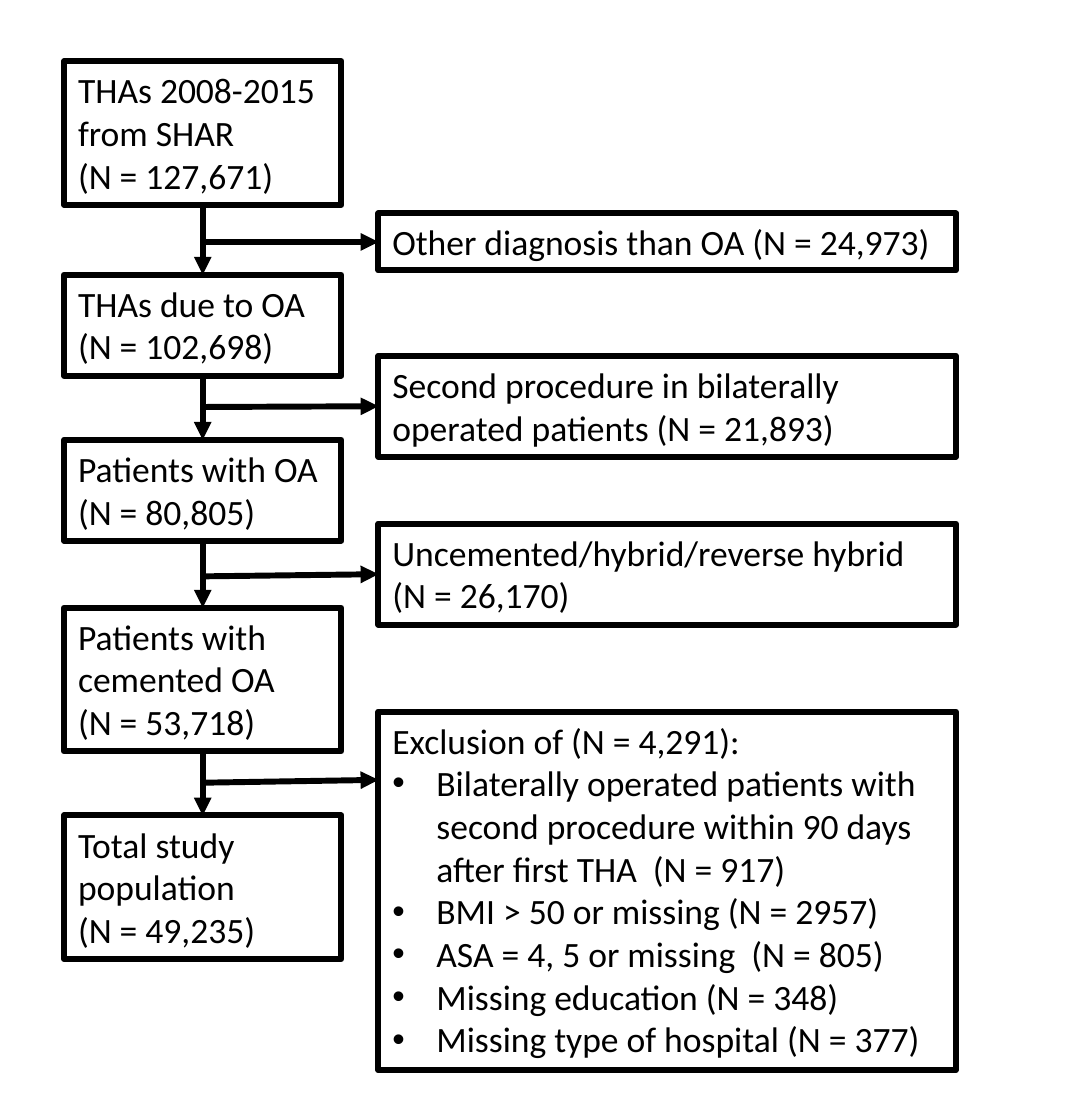
import pptx
import pptx.dml.color
import pptx.enum.shapes
import pptx.enum.text
import pptx.oxml
import pptx.oxml.ns
import pptx.util

SCALE = 9144  # EMU per px, 100 px to the inch
LEFT, WIDE = 45, 195
SIDE, SPAN = 266, 406

# top, height, paragraphs
STEPS = [
    (43, 101, ["THAs 2008-2015", "from SHAR", "(N = 127,671)"]),
    (193, 71, ["THAs due to OA (N = 102,698)"]),
    (309, 71, ["Patients with OA (N = 80,805)"]),
    (427, 101, ["Patients with cemented OA", "(N = 53,718)"]),
    (573, 101, ["Total study population", "(N = 49,235)"]),
]
# top, height, arrow start, arrow end (None: middle of the side), paragraphs, bullets
DROPS = [
    (150, 40, 170, None, ["Other diagnosis than OA (N = 24,973)"], []),
    (250, 71, 286, None,
     ["Second procedure in bilaterally operated patients (N = 21,893)"], []),
    (368, 71, 405, None,
     ["Uncemented/hybrid/reverse hybrid", "(N = 26,170)"], []),
    (500, 252, 550, 548, ["Exclusion of (N = 4,291):"], [
        "Bilaterally operated patients with second procedure "
        "within 90 days after first THA  (N = 917)",
        "BMI > 50 or missing (N = 2957)",
        "ASA = 4, 5 or missing  (N = 805)",
        "Missing education (N = 348)",
        "Missing type of hospital (N = 377)",
    ]),
]


def px(count):
    return pptx.util.Emu(round(count * SCALE))


def color(code):
    return pptx.dml.color.RGBColor.from_string(code)


def node(parent, tag, **attrs):
    item = pptx.oxml.ns.qn(tag)
    child = parent.makeelement(item, attrs)
    parent.append(child)
    return child


class Chart:
    """Flow chart style and the slide it is drawn on."""
    face, size, ink, stroke = "Calibri", 18, "000000", 3

    def __init__(self, slide):
        self.shapes = slide.shapes

    def edge(self, line):
        line.color.rgb = color(self.ink)
        line.width = pptx.util.Pt(self.stroke)

    def box(self, left, top, width, height, lines, points=()):
        shape = self.shapes.add_shape(
            pptx.enum.shapes.MSO_SHAPE.RECTANGLE,
            px(left), px(top), px(width), px(height))
        shape.shadow.inherit = False
        shape.fill.background()
        self.edge(shape.line)
        frame = shape.text_frame
        frame.word_wrap = True
        frame.auto_size = pptx.enum.text.MSO_AUTO_SIZE.SHAPE_TO_FIT_TEXT
        frame.vertical_anchor = pptx.enum.text.MSO_ANCHOR.TOP
        for index, text in enumerate([*lines, *points]):
            para = frame.add_paragraph() if index else frame.paragraphs[0]
            para.text = text
            para.alignment = pptx.enum.text.PP_ALIGN.LEFT
            if index >= len(lines):
                self.bullet(para)
            para.font.name = self.face
            para.font.size = pptx.util.Pt(self.size)
            para.font.color.rgb = color(self.ink)
        return shape

    def bullet(self, para):
        """Add a hanging bullet; call before the font is set."""
        props = para._p.get_or_add_pPr()
        props.set("marL", str(px(31)))
        props.set("indent", str(-px(31)))
        node(props, "a:buFont", typeface="Arial")
        node(props, "a:buChar", char="•")

    def arrow(self, start, end):
        link = self.shapes.add_connector(
            pptx.enum.shapes.MSO_CONNECTOR.STRAIGHT,
            *map(px, start), *map(px, end))
        self.edge(link.line)
        node(link.line._get_or_add_ln(), "a:tailEnd", type="triangle")
        node(link._element.spPr, "a:effectLst")
        return link


def main():
    deck = pptx.Presentation()
    deck.slide_width, deck.slide_height = px(750), px(787)
    chart = Chart(deck.slides.add_slide(deck.slide_layouts[6]))
    axis = LEFT + WIDE / 2

    steps = [chart.box(LEFT, top, WIDE, height, lines)
             for top, height, lines in STEPS]
    for upper, lower in zip(steps, steps[1:]):
        link = chart.arrow((axis, 0), (axis, 1))
        link.begin_connect(upper, 2)
        link.end_connect(lower, 0)

    for top, height, start, end, lines, points in DROPS:
        drop = chart.box(SIDE, top, SPAN, height, lines, points)
        link = chart.arrow((axis, start), (SIDE, end or top + height / 2))
        if end is None:
            link.end_connect(drop, 1)

    deck.save("out.pptx")


if __name__ == "__main__":
    main()
